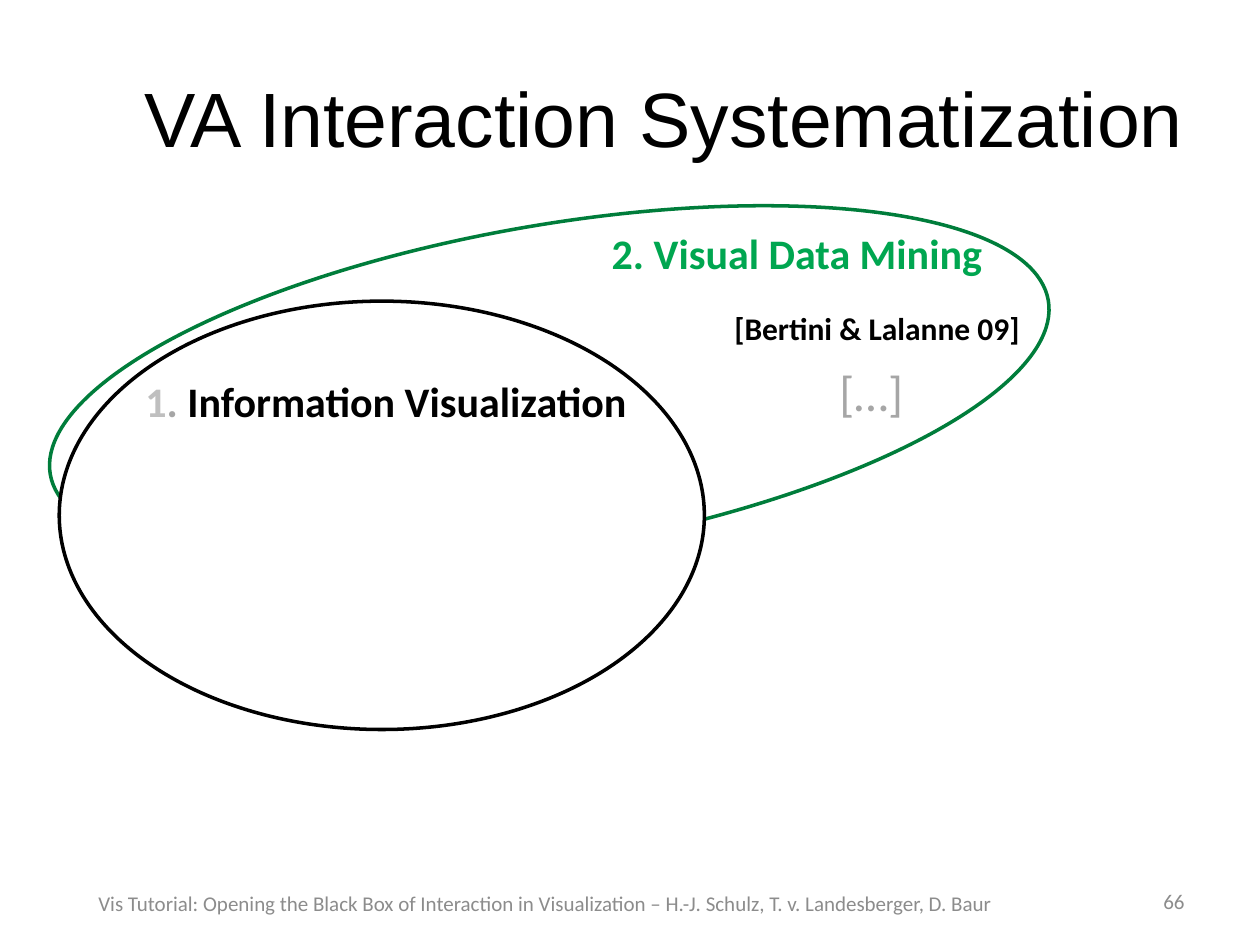
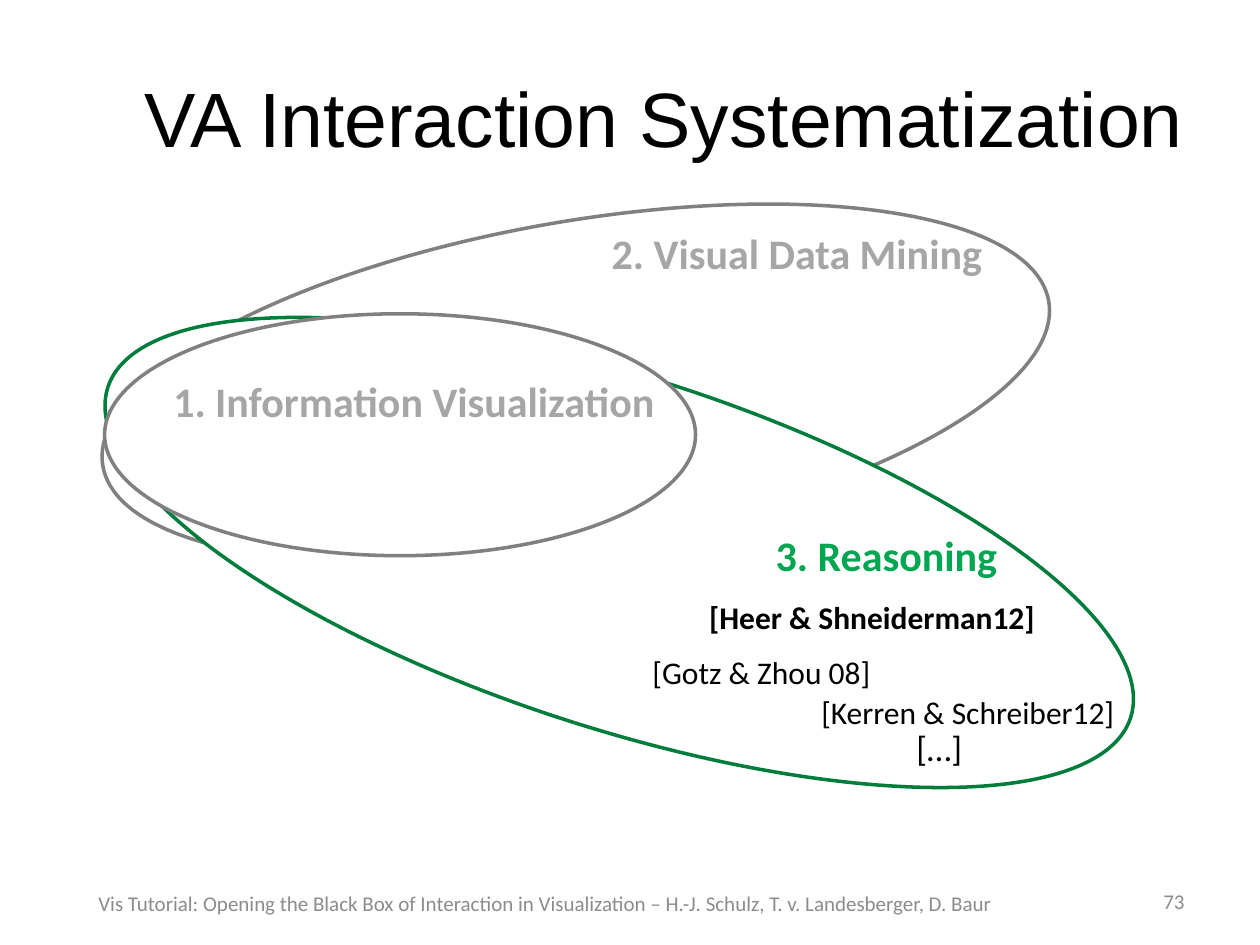
from pptx import Presentation
from pptx.dml.color import RGBColor
from pptx.enum.shapes import MSO_SHAPE
from pptx.enum.text import MSO_ANCHOR, MSO_AUTO_SIZE, PP_ALIGN
from pptx.util import Inches, Pt

ELLIPSE = MSO_SHAPE.OVAL
TOP, MIDDLE = MSO_ANCHOR.TOP, MSO_ANCHOR.MIDDLE
LEFT, CENTER, RIGHT = PP_ALIGN.LEFT, PP_ALIGN.CENTER, PP_ALIGN.RIGHT
NO_FIT = MSO_AUTO_SIZE.NONE

# Shared look
BLACK, WHITE = "000000", "FFFFFF"
DARK_GREEN, GREEN = "007D3B", "00A650"
OUTLINE_GRAY, FADED, PALE, FOOTER_GRAY = "808080", "A6A6A6", "BFBFBF", "8C8C8C"
HEADING, CITATION = 24, 18
TITLE = "VA Interaction Systematization"
FOOTER = ("Vis Tutorial: Opening the Black Box of Interaction in Visualization"
          " – H.-J. Schulz, T. v. Landesberger, D. Baur")

presentation = Presentation()
presentation.slide_width = Inches(10)
presentation.slide_height = Inches(7.5)

# Grid of 100 columns and 75 rows
COLUMN = presentation.slide_width // 100
ROW = presentation.slide_height // 75


def add_ellipse(slide, column, row, columns, rows, line, rotation=0, fill=WHITE):
    shape = slide.shapes.add_shape(ELLIPSE, int(column * COLUMN), int(row * ROW),
                                   int(columns * COLUMN), int(rows * ROW))
    shape.shadow.inherit = False
    shape.rotation = rotation
    if fill:
        shape.fill.solid()
        shape.fill.fore_color.rgb = RGBColor.from_string(fill)
    else:
        shape.fill.background()
    shape.line.color.rgb = RGBColor.from_string(line)
    shape.line.width = Pt(2)


def add_text(slide, column, row, columns, rows, parts, size, bold=False,
             align=CENTER, anchor=TOP, wrap=True):
    """Add one line of text made of (text, colour) parts."""
    box = slide.shapes.add_textbox(int(column * COLUMN), int(row * ROW),
                                   int(columns * COLUMN), int(rows * ROW))
    text_frame = box.text_frame
    text_frame.word_wrap = wrap
    text_frame.vertical_anchor = anchor
    paragraph = text_frame.paragraphs[0]
    paragraph.alignment = align
    for text, color in parts:
        run = paragraph.add_run()
        run.text = text
        run.font.name = "Calibri"
        run.font.size = Pt(size)
        run.font.bold = bold
        run.font.color.rgb = RGBColor.from_string(color)


# Title, footer and page number on both slides
slides = []
for page_number in ("66", "73"):
    slide = presentation.slides.add_slide(presentation.slide_layouts[5])
    slides.append(slide)

    title = slide.shapes.title
    title.left, title.top = 5 * COLUMN, 3 * ROW
    title.width, title.height = 90 * COLUMN, int(12.5 * ROW)
    title.text_frame.text = TITLE
    title.text_frame.auto_size = NO_FIT
    title.text_frame.vertical_anchor = MIDDLE
    paragraph = title.text_frame.paragraphs[0]
    paragraph.alignment = RIGHT
    paragraph.font.name = "Arial"
    paragraph.font.size = Pt(44)
    paragraph.font.color.rgb = RGBColor.from_string(BLACK)

    add_text(slide, 5.1, 69.8, 76.4, 3.7, [(FOOTER, FOOTER_GRAY)], 12, anchor=MIDDLE)
    add_text(slide, 71.7, 69.5, 23.3, 4, [(page_number, FOOTER_GRAY)], 12,
             align=RIGHT, anchor=MIDDLE)

mining_slide, reasoning_slide = slides

# Slide 1: visual data mining
add_ellipse(mining_slide, 3.4, 17.9, 80.4, 25.7, DARK_GREEN, rotation=350.1, fill=None)
add_text(mining_slide, 39.8, 17.6, 46.9, 5, [("2. Visual Data Mining", GREEN)],
         HEADING, bold=True)
add_text(mining_slide, 57.3, 24, 37.6, 4, [("[Bertini & Lalanne 09]", BLACK)],
         CITATION, bold=True, align=LEFT)
add_text(mining_slide, 61.4, 28.3, 15.5, 5.7, [("[…]", FADED)], 28)

# Slide 1: information visualization in front
add_ellipse(mining_slide, 4.7, 23.9, 51.2, 34, BLACK)
add_text(mining_slide, 9.8, 29.3, 41.7, 5,
         [("1", PALE), (".", FADED), (" Information Visualization", BLACK)],
         HEADING, bold=True)

# Slide 2: visual data mining, faded
add_ellipse(reasoning_slide, 7.6, 17.6, 76.2, 25.7, OUTLINE_GRAY, rotation=350.1)
add_text(reasoning_slide, 39.8, 17.6, 46.9, 5, [("2. Visual Data Mining", FADED)],
         HEADING, bold=True)

# Slide 2: reasoning and its citations
add_ellipse(reasoning_slide, 6.5, 29.9, 85.3, 27.9, DARK_GREEN, rotation=17.9)
add_text(reasoning_slide, 46.9, 41.5, 46.9, 5, [("3. Reasoning", GREEN)],
         HEADING, bold=True)
citations = [
    (55.3, 47, 28.1, "[Heer & Shneiderman12]", True),
    (50.8, 51.3, 19.5, "[Gotz & Zhou 08]", False),
    (64.2, 54.5, 25.6, "[Kerren & Schreiber12]", False),
]
for column, row, columns, citation, bold in citations:
    add_text(reasoning_slide, column, row, columns, 4, [(citation, BLACK)],
             CITATION, bold=bold, align=LEFT, wrap=False)
add_text(reasoning_slide, 66.8, 57.2, 15.5, 4.4, [("[…]", BLACK)], 20)

# Slide 2: information visualization in front, faded
add_ellipse(reasoning_slide, 8.3, 24.9, 46.9, 19.2, OUTLINE_GRAY)
add_text(reasoning_slide, 9.4, 29.3, 46.9, 5, [("1. Information Visualization", FADED)],
         HEADING, bold=True)

presentation.save("out.pptx")
